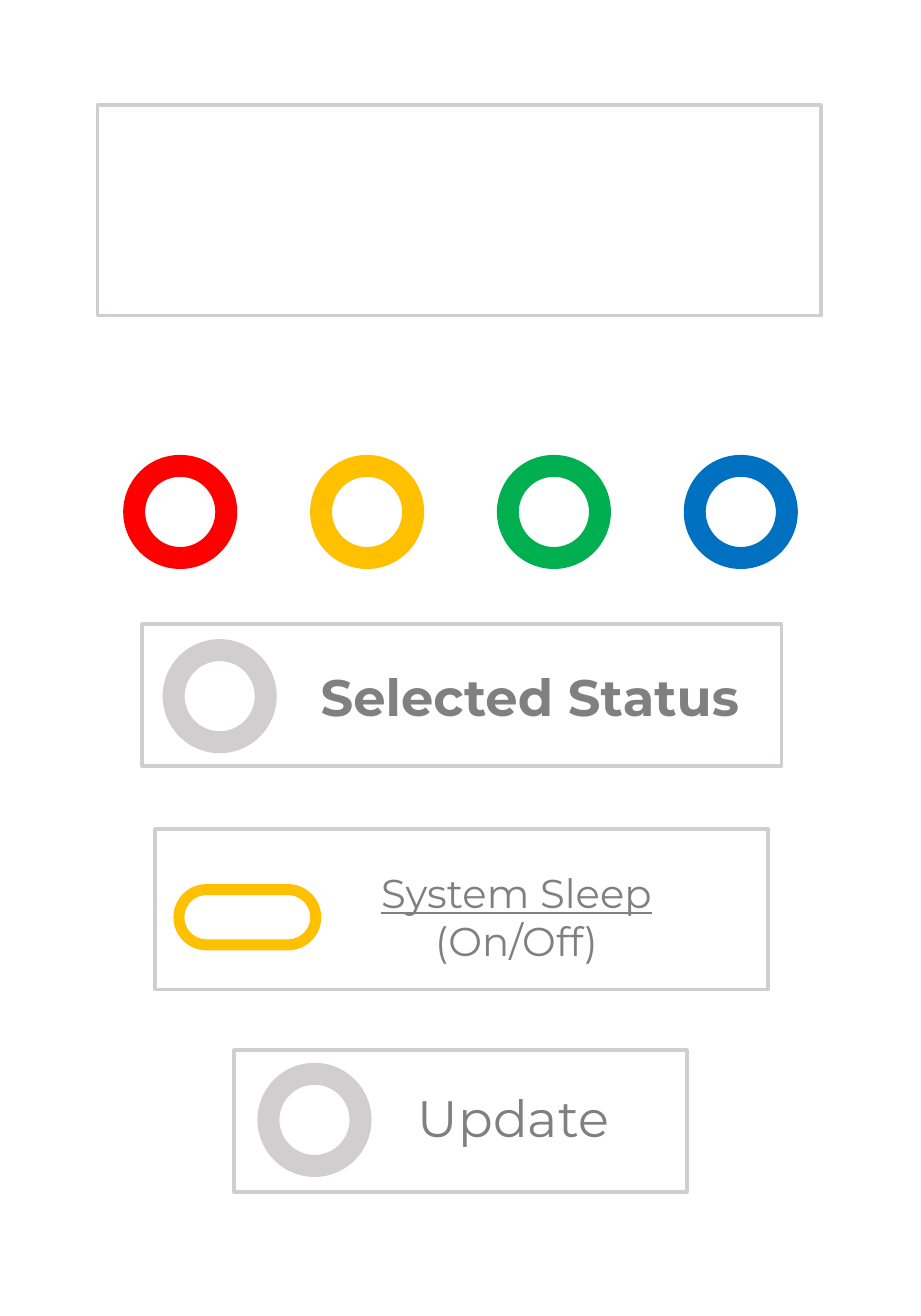
from pptx import Presentation
from pptx.dml.color import RGBColor
from pptx.enum.shapes import MSO_SHAPE
from pptx.enum.text import MSO_AUTO_SIZE, PP_ALIGN
from pptx.util import Inches, Pt

GREY, AMBER, INK = "D0CECE", "FFC000", "808080"
RING = 0.35
SCREEN = (0.37, 0.4, 2.75, 0.8)
LIGHTS = ["FF0000", AMBER, "00B050", "0070C0"]
LIGHT_LEFT, LIGHT_TOP, LIGHT_STEP = 0.51, 1.77, 0.71

# Each line: text, font format, alignment
PANELS = [
    {"frame": (0.54, 2.37, 2.43, 0.54), "ring": (0.66, 2.47),
     "label": (1.12, 2.48, 1.81, 0.34),
     "lines": [("Selected Status", {"size": Pt(14), "bold": True}, None)]},
    {"frame": (0.89, 3.99, 1.72, 0.54), "ring": (1.02, 4.08),
     "label": (1.49, 4.08, 0.94, 0.34),
     "lines": [("Update", {"size": Pt(14)}, None)]},
    {"frame": (0.59, 3.15, 2.33, 0.61), "pill": (0.68, 3.38, 0.52, 0.21),
     "label": (1.35, 3.25, 1.28, 0.47),
     "lines": [("System Sleep", {"size": Pt(11), "underline": True}, None),
               ("(On/Off)", {"size": Pt(11)}, PP_ALIGN.CENTER)]},
]


def color(code):
    return RGBColor.from_string(code)


def outline(shapes, kind, box, line, width, fill=None):
    shape = shapes.add_shape(kind, *map(Inches, box))
    shape.shadow.inherit = False
    if fill:
        shape.fill.solid()
        shape.fill.fore_color.rgb = color(fill)
    else:
        shape.fill.background()
    shape.line.color.rgb = color(line)
    shape.line.width = Pt(width)
    return shape


def ring(shapes, left, top, line):
    outline(shapes, MSO_SHAPE.OVAL, (left, top, RING, RING), line, 6, "FFFFFF")


def frame(shapes, box):
    outline(shapes, MSO_SHAPE.RECTANGLE, box, GREY, 1)


def label(shapes, box, lines):
    text = shapes.add_textbox(*map(Inches, box)).text_frame
    text.word_wrap = False
    text.auto_size = MSO_AUTO_SIZE.SHAPE_TO_FIT_TEXT
    for i, (words, style, align) in enumerate(lines):
        para = text.add_paragraph() if i else text.paragraphs[0]
        para.alignment = align
        run = para.add_run()
        run.text = words
        for name, value in {"name": "Montserrat", **style}.items():
            setattr(run.font, name, value)
        run.font.color.rgb = color(INK)


def panel(shapes, part):
    if "ring" in part:
        ring(shapes, *part["ring"], GREY)
    else:
        pill = outline(shapes, MSO_SHAPE.ROUNDED_RECTANGLE, part["pill"], AMBER, 3)
        pill.adjustments[0] = 0.5
    label(shapes, part["label"], part["lines"])
    frame(shapes, part["frame"])


def main():
    deck = Presentation()
    deck.slide_width, deck.slide_height = Inches(3.5), Inches(5)
    shapes = deck.slides.add_slide(deck.slide_layouts[6]).shapes
    frame(shapes, SCREEN)
    lights = shapes.add_group_shape().shapes
    for i, code in enumerate(LIGHTS):
        ring(lights, LIGHT_LEFT + i * LIGHT_STEP, LIGHT_TOP, code)
    for part in PANELS:
        panel(shapes.add_group_shape().shapes, part)
    deck.save("out.pptx")


if __name__ == "__main__":
    main()
